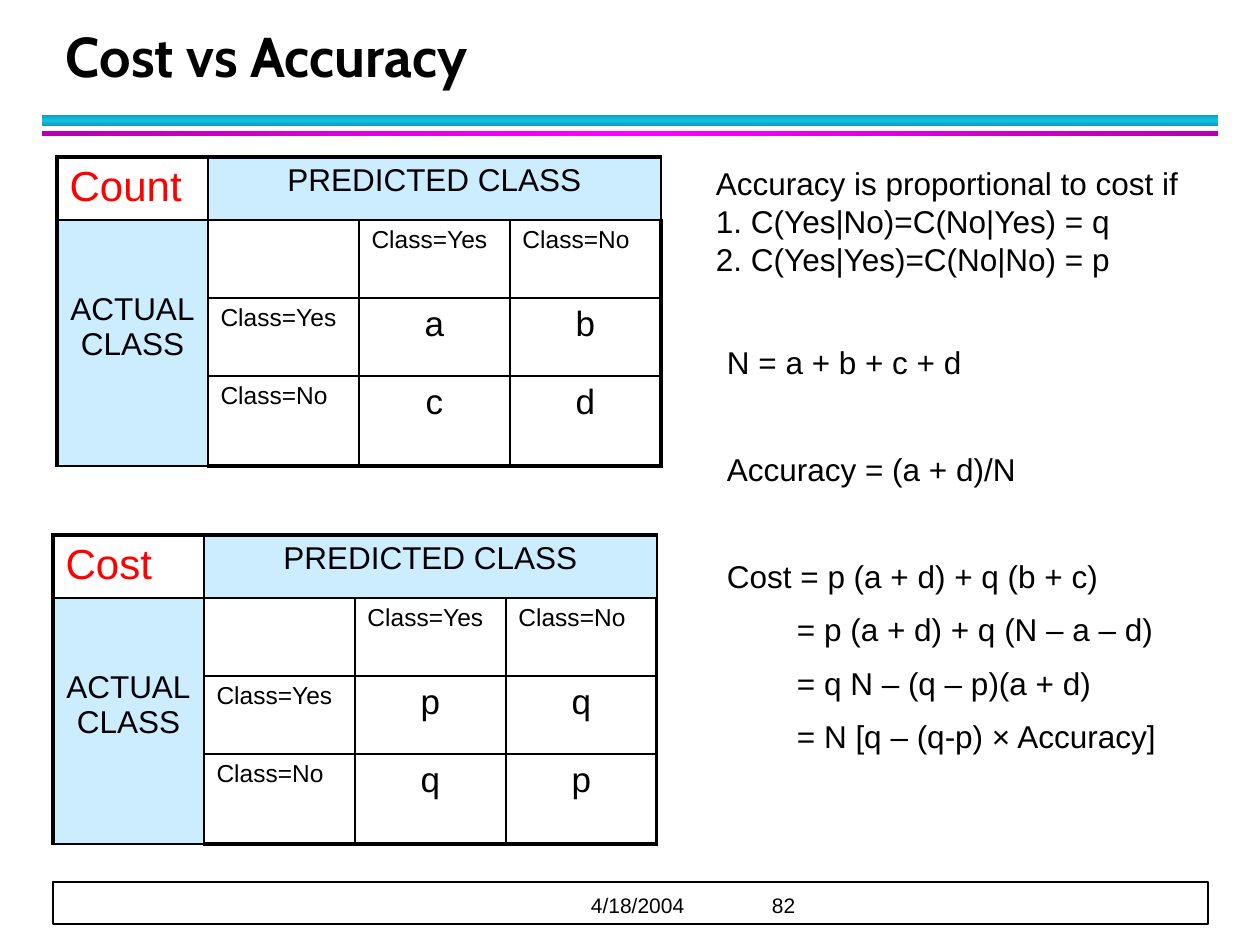
import copy
from dataclasses import dataclass

import pptx
import pptx.dml.color
import pptx.enum.shapes
import pptx.enum.text
import pptx.oxml
import pptx.oxml.ns
import pptx.util

PX_PER_INCH = 126
ALIGN = pptx.enum.text.PP_ALIGN
ANCHOR = pptx.enum.text.MSO_ANCHOR
qn = pptx.oxml.ns.qn


@dataclass(frozen=True)
class Theme:
    body_font: str = "Arial"
    title_font: str = "Cabin"
    ink: str = "000000"
    paper: str = "FFFFFF"
    accent: str = "FF0000"
    header: str = "CCECFF"
    cyan: tuple = ("0E9BBA", "12C2E9", "0E9BBA")
    magenta: tuple = ("B200B2", "FF00FF", "B200B2")
    title_size: int = 32
    corner_size: int = 24
    value_size: int = 20
    body_size: int = 18
    label_size: int = 14
    footer_size: int = 12
    outer_line: float = 2.25
    inner_line: float = 1


THEME = Theme()


def emu(px):
    return pptx.util.Emu(round(px * 914400 / PX_PER_INCH))


def rgb(color):
    return pptx.dml.color.RGBColor.from_string(color)


def write(paragraph, text, size, color=THEME.ink, font=THEME.body_font, bold=False):
    """Add text in one style, with a line break at each newline."""
    for index, line in enumerate(text.split("\n")):
        if index:
            paragraph.add_line_break()
        run = paragraph.add_run()
        run.text = line
        run.font.name = font
        run.font.size = pptx.util.Pt(size)
        run.font.bold = bold
        run.font.color.rgb = rgb(color)


def add_text_frame(slide, box, inset=(13, 6), anchor=ANCHOR.TOP):
    frame = slide.shapes.add_textbox(*map(emu, box)).text_frame
    frame.word_wrap = True
    frame.vertical_anchor = anchor
    frame.margin_left = frame.margin_right = emu(inset[0])
    frame.margin_top = frame.margin_bottom = emu(inset[1])
    return frame


def add_rectangle(slide, box):
    rectangle = slide.shapes.add_shape(
        pptx.enum.shapes.MSO_SHAPE.RECTANGLE, *map(emu, box))
    rectangle.shadow.inherit = False
    return rectangle


def add_gradient_bar(slide, box, colors, angle):
    bar = add_rectangle(slide, box)
    bar.line.fill.background()
    bar.fill.gradient()
    bar.fill.gradient_angle = angle
    stop_list = bar._element.spPr.find(".//" + qn("a:gsLst"))
    stop_list.append(copy.deepcopy(stop_list[0]))
    for index, (stop, color) in enumerate(zip(bar.fill.gradient_stops, colors)):
        stop.position = index / 2
        stop.color.rgb = rgb(color)


def add_heading(slide, box):
    left, top, width, height = box
    add_gradient_bar(slide, (left, top + 94, width, 11), THEME.cyan, 90)
    add_gradient_bar(slide, (left, top + 110, width, 5), THEME.magenta, 0)
    title = add_text_frame(slide, (left + 11, top, 1142, 74), anchor=ANCHOR.BOTTOM)
    write(title.paragraphs[0], "Cost vs Accuracy", THEME.title_size,
          font=THEME.title_font, bold=True)


def add_footer(slide, box):
    left, top, width, height = box
    frame_line = add_rectangle(slide, box)
    frame_line.fill.solid()
    frame_line.fill.fore_color.rgb = rgb(THEME.paper)
    frame_line.line.color.rgb = rgb(THEME.ink)
    frame_line.line.width = pptx.util.Pt(1)

    footer = add_text_frame(slide, (left, top + 4, width, 32), (0, 0), ANCHOR.BOTTOM)
    paragraph = footer.paragraphs[0]
    tab_stops = pptx.oxml.parse_xml(f"<a:tabLst {pptx.oxml.ns.nsdecls('a')}/>")
    for position in (538, 719):
        stop = tab_stops.makeelement(qn("a:tab"), {"pos": str(emu(position)), "algn": "l"})
        tab_stops.append(stop)
    paragraph._p.get_or_add_pPr().append(tab_stops)
    write(paragraph, "\t4/18/2004\t82", THEME.footer_size)


def set_borders(cell, outer_sides):
    properties = cell._tc.get_or_add_tcPr()
    for index, side in enumerate("LRTB"):
        width = THEME.outer_line if side in outer_sides else THEME.inner_line
        properties.insert(index, pptx.oxml.parse_xml(
            f'<a:ln{side} {pptx.oxml.ns.nsdecls("a")} w="{pptx.util.Pt(width)}">'
            f'<a:solidFill><a:srgbClr val="{THEME.ink}"/></a:solidFill></a:ln{side}>'))


def add_matrix(slide, box, corner, values):
    """Add a two-class table with its row and column headers."""
    left, top, width, height = box
    row_heights = (63, 78, 78, height - 219)
    table = slide.shapes.add_table(4, 4, *map(emu, box)).table
    for column in table.columns:
        column.width = emu(width / 4)
    for row, row_height in zip(table.rows, row_heights):
        row.height = emu(row_height)

    for r in range(4):
        for c in range(4):
            cell = table.cell(r, c)
            is_header = (r == 0) != (c == 0)
            cell.fill.solid()
            cell.fill.fore_color.rgb = rgb(THEME.header if is_header else THEME.paper)
            edges = {"L": c == 0, "R": c == 3, "T": r == 0, "B": r == 3}
            set_borders(cell, [side for side, on_edge in edges.items() if on_edge])
    table.cell(0, 1).merge(table.cell(0, 3))
    table.cell(1, 0).merge(table.cell(3, 0))
    table.cell(1, 0).margin_top = emu(72)

    def fill_cell(r, c, text, size, align=ALIGN.LEFT, color=THEME.ink):
        paragraph = table.cell(r, c).text_frame.paragraphs[0]
        paragraph.alignment = align
        write(paragraph, text, size, color)

    fill_cell(0, 0, corner, THEME.corner_size, color=THEME.accent)
    fill_cell(0, 1, "PREDICTED CLASS", THEME.body_size, ALIGN.CENTER)
    fill_cell(1, 0, "ACTUAL\nCLASS", THEME.body_size, ALIGN.CENTER)
    for index, label in enumerate(("Class=Yes", "Class=No"), start=2):
        fill_cell(1, index, label, THEME.label_size)
        fill_cell(index, 1, label, THEME.label_size)
    for r, row_values in enumerate(values, start=2):
        for c, value in enumerate(row_values, start=2):
            fill_cell(r, c, value, THEME.value_size, ALIGN.CENTER)


def add_derivation(slide, box):
    left, top, width, height = box
    step_gap, section_gap, step_indent = 9, 39.5, 70
    steps = (
        ("N = a + b + c + d", 0, 0),
        ("Accuracy = (a + d)/N", section_gap, 0),
        ("Cost = p (a + d) + q (b + c)", section_gap, 0),
        ("= p (a + d) + q (N – a – d)", step_gap, step_indent),
        ("= q N – (q – p)(a + d)", step_gap, step_indent),
        ("= N [q – (q-p) × Accuracy]", step_gap, step_indent),
    )
    conditions = add_text_frame(slide, (left, top, width, 126))
    write(conditions.paragraphs[0],
          "Accuracy is proportional to cost if\n"
          "1. C(Yes|No)=C(No|Yes) = q\n"
          "2. C(Yes|Yes)=C(No|No) = p", THEME.body_size)

    formulas = add_text_frame(slide, (left + 11, top + 179, width - 20, height - 179))
    for index, (text, gap, indent) in enumerate(steps):
        paragraph = formulas.add_paragraph() if index else formulas.paragraphs[0]
        paragraph.space_before = pptx.util.Pt(gap)
        paragraph._p.get_or_add_pPr().set("marL", str(emu(indent)))
        write(paragraph, text, THEME.body_size)


def main():
    deck = pptx.Presentation()
    deck.slide_width, deck.slide_height = emu(1260), emu(945)
    slide = deck.slides.add_slide(deck.slide_layouts[6])
    add_heading(slide, (42, 21, 1176, 115))
    add_footer(slide, (53, 882, 1155, 42))
    add_matrix(slide, (57, 157, 604, 309), "Count", ("ab", "cd"))
    add_matrix(slide, (53, 535, 604, 309), "Cost", ("pq", "qp"))
    add_derivation(slide, (703, 158, 514, 684))
    deck.save("out.pptx")


if __name__ == "__main__":
    main()
